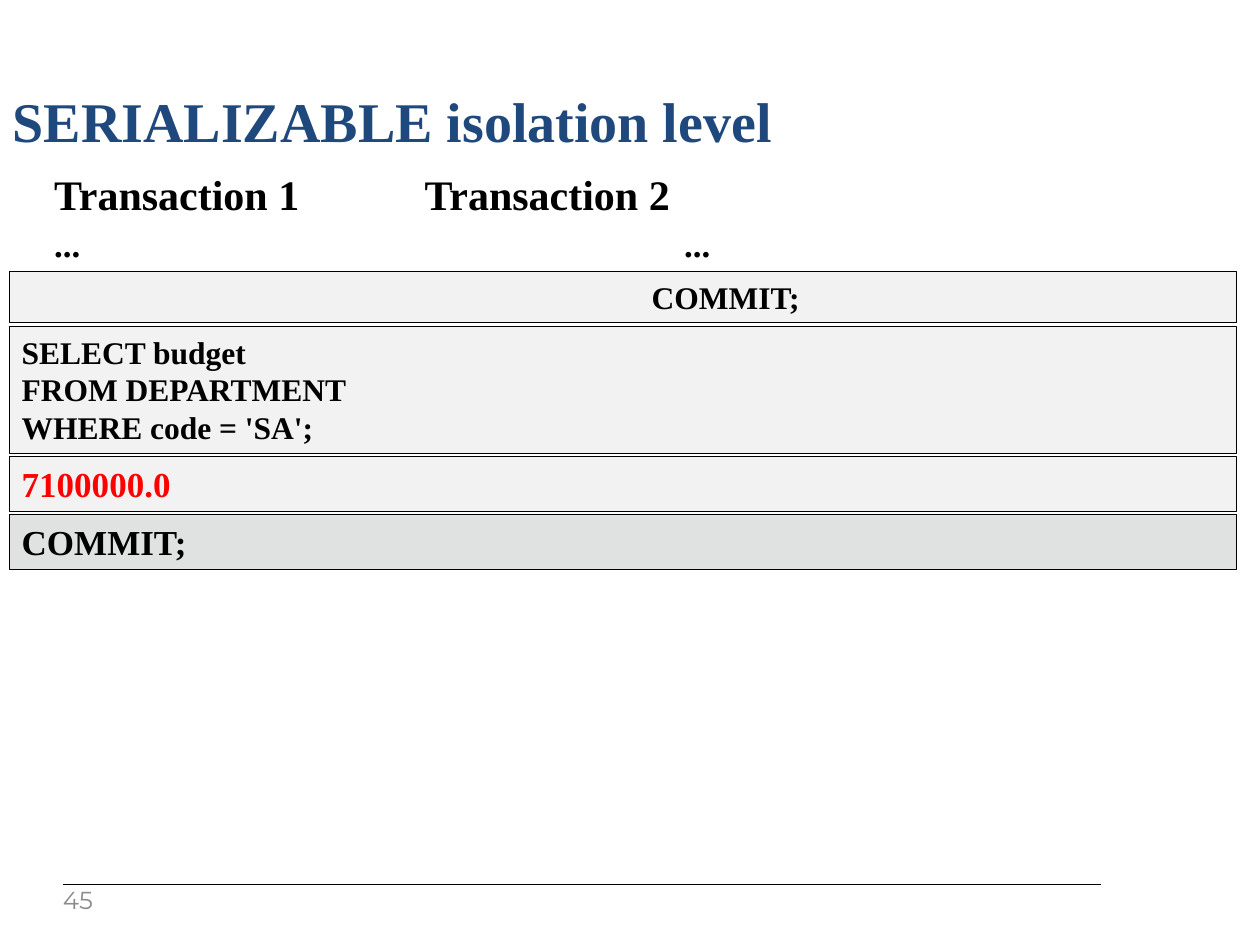
from pptx import Presentation
from pptx.dml.color import RGBColor
from pptx.enum.shapes import MSO_CONNECTOR as CONN, MSO_SHAPE as SHAPE
from pptx.enum.text import MSO_ANCHOR as ANCHOR, PP_ALIGN as ALIGN
from pptx.oxml.ns import qn
from pptx.util import Pt
from lxml import etree

SERIF = "Times New Roman"


def rgb(value):
    return RGBColor.from_string(value)


def write(s, text, size, color="000000", font=SERIF, bold=True, tab=None):
    """Fill a shape with left-aligned lines; tab is an optional tab stop in points."""
    tf = s.text_frame
    tf.word_wrap = True
    tf.text = text
    for p in tf.paragraphs:
        p.alignment = ALIGN.LEFT
        p.font.name, p.font.size, p.font.bold = font, Pt(size), bold
        p.font.color.rgb = rgb(color)
        if tab:
            pPr = p._p.get_or_add_pPr()
            tabs = etree.Element(qn("a:tabLst"))
            etree.SubElement(tabs, qn("a:tab"), pos=str(Pt(tab)), algn="l")
            pPr.insert_element_before(tabs, "a:defRPr", "a:extLst")
    return tf


prs = Presentation()
prs.slide_width, prs.slide_height = Pt(720), Pt(540)
slide = prs.slides.add_slide(prs.slide_layouts[5])

# Title
s = slide.shapes.title
s.left, s.top, s.width, s.height = Pt(0), Pt(44.6), Pt(720), Pt(48.2)
tf = write(s, "SERIALIZABLE isolation level", 32, "1F497D")
tf.vertical_anchor = ANCHOR.MIDDLE

# Column headings
headings = [
    ("Transaction 1\tTransaction 2", 92.9, 36, 24, 211.7),
    ("...\t...", 123.8, 31, 20, 360),
]
for text, top, height, size, tab in headings:
    s = slide.shapes.add_textbox(Pt(23.8), Pt(top), Pt(672), Pt(height))
    write(s, text, size, tab=tab)

# Transaction steps
steps = [
    ("\tCOMMIT;", 155.3, 29, 18, "000000", "F2F2F2"),
    ("SELECT budget\nFROM DEPARTMENT\nWHERE code = 'SA';", 186.5, 72.7, 18, "000000", "F2F2F2"),
    ("7100000.0", 260.8, 31.5, 20, "FF0000", "F2F2F2"),
    ("COMMIT;", 294, 31.5, 20, "000000", "E0E2E2"),
]
for text, top, height, size, color, fill in steps:
    s = slide.shapes.add_shape(SHAPE.RECTANGLE, Pt(5.3), Pt(top), Pt(701.3), Pt(height))
    s.shadow.inherit = False
    s.fill.solid()
    s.fill.fore_color.rgb = rgb(fill)
    s.line.color.rgb = rgb("000000")
    s.line.width = Pt(0.75)
    tf = write(s, text, size, color, tab=360)
    tf.vertical_anchor = ANCHOR.TOP

# Footer rule and page number
rule = slide.shapes.add_connector(CONN.STRAIGHT, Pt(36), Pt(505.4), Pt(629.3), Pt(505.4))
rule.line.color.rgb = rgb("000000")
rule.line.width = Pt(0.75)
etree.SubElement(rule._element.spPr, qn("a:effectLst"))

s = slide.shapes.add_textbox(Pt(36), Pt(508.3), Pt(28.8), Pt(15.1))
tf = write(s, "45", 14, "8B8B8B", "Montserrat", False)
tf.margin_left = tf.margin_top = 0
tf.margin_right, tf.margin_bottom = Pt(7.2), Pt(3.6)
tf.vertical_anchor = ANCHOR.MIDDLE

prs.save("out.pptx")
